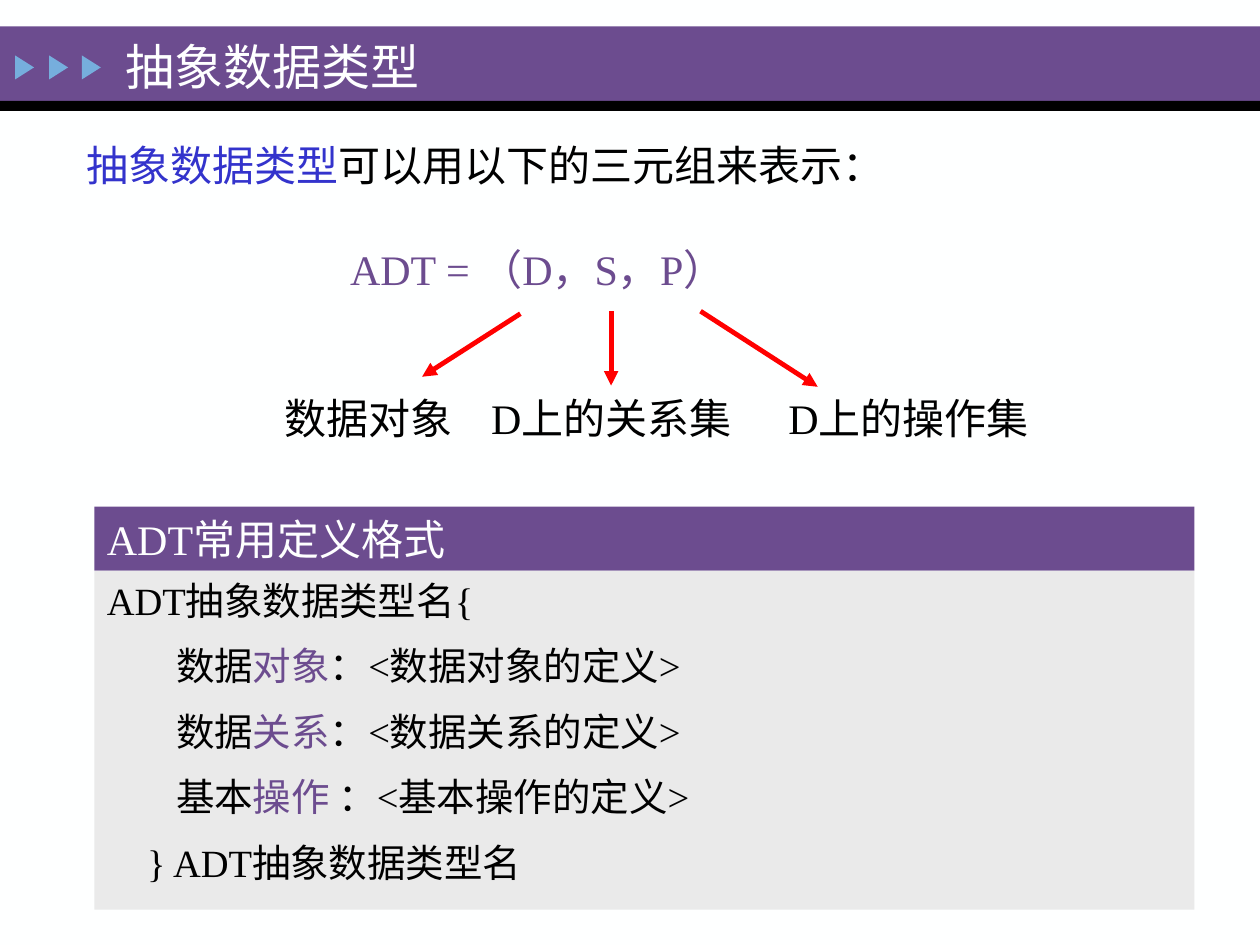
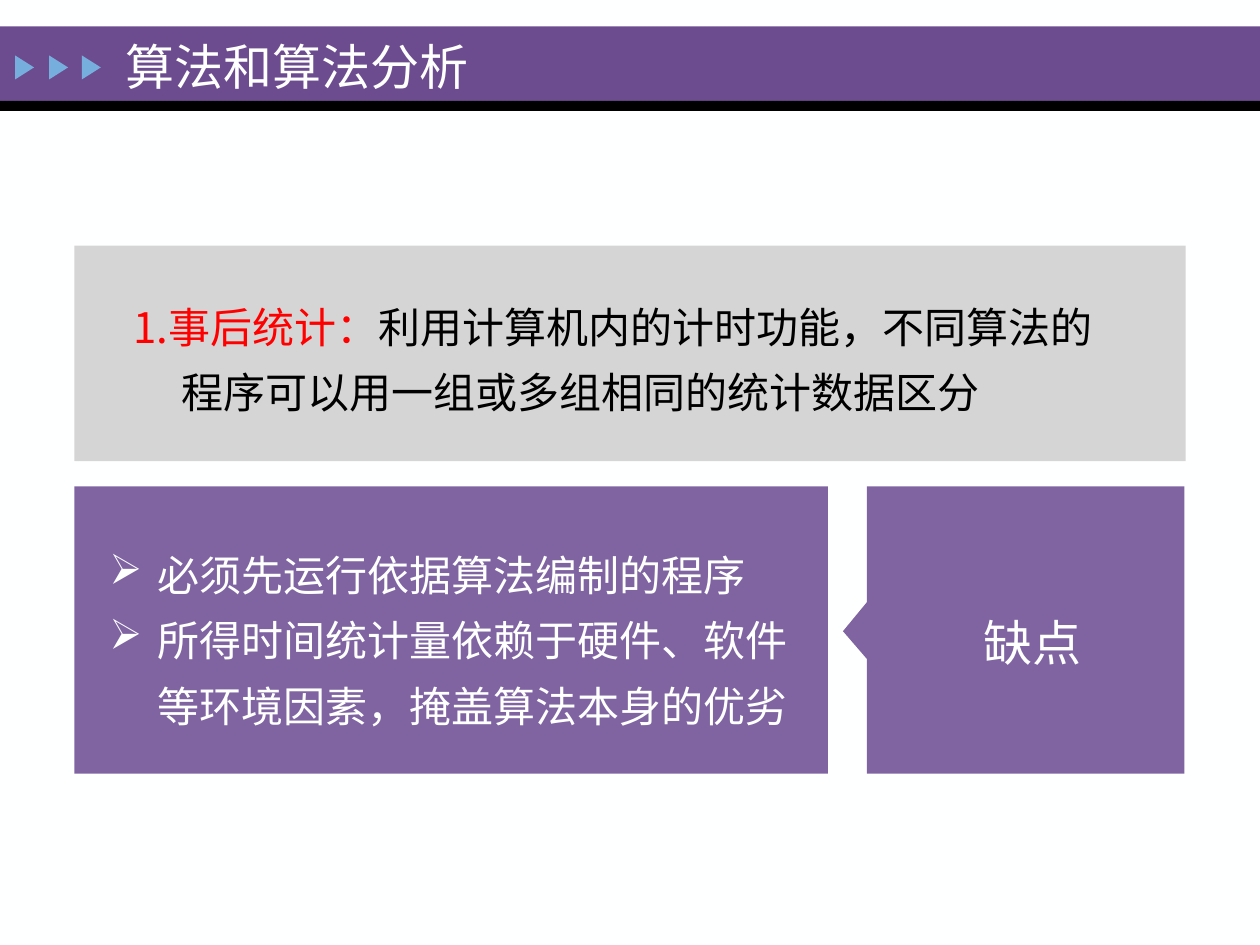
from lxml.etree import SubElement
from pptx import Presentation
from pptx.dml.color import RGBColor
from pptx.enum.shapes import MSO_CONNECTOR, MSO_SHAPE
from pptx.enum.text import MSO_ANCHOR, PP_ALIGN
from pptx.oxml.ns import qn
from pptx.util import Pt

PX = 9144  # EMU per px, 100 px to the inch
SLIDE_W, SLIDE_H = 1000, 750

WHITE = RGBColor(0xFE, 0xFF, 0xFF)
BLACK = RGBColor(0x00, 0x00, 0x00)
PURPLE = RGBColor(0x6C, 0x4C, 0x8F)
LILAC = RGBColor(0x80, 0x64, 0xA2)
SKY = RGBColor(0x76, 0xAE, 0xDD)
BLUE = RGBColor(0x33, 0x33, 0xCC)
RED = RGBColor(0xFF, 0x00, 0x00)
LIGHT_GREY = RGBColor(0xEA, 0xEA, 0xEA)
GREY = RGBColor(0xD5, 0xD5, 0xD5)

SERIF = "Times New Roman"
SANS = "Noto Sans CJK SC"


def emu(*lengths):
    return [v * PX for v in lengths]


def paint(sp, color):
    sp.shadow.inherit = False
    sp.fill.solid()
    sp.fill.fore_color.rgb = color
    sp.line.fill.background()
    return sp


def add_box(s, box, color, kind=MSO_SHAPE.RECTANGLE):
    return paint(s.shapes.add_shape(kind, *emu(*box)), color)


def write(p, runs, size, font):
    """Add (text, colour) runs to a left-aligned paragraph."""
    p.alignment = PP_ALIGN.LEFT
    for text, color in runs:
        r = p.add_run()
        r.text = text
        r.font.size = Pt(size)
        r.font.color.rgb = color
        r.font.name = font
        SubElement(r._r.get_or_add_rPr(), qn("a:ea"), typeface=SANS)


def fill_text(sp, paragraphs, size, font=SERIF, anchor=MSO_ANCHOR.TOP,
              indents=None, hanging=0, bullet=None, spacing=None, before=0):
    """Write paragraphs, each a list of runs, into a shape."""
    tf = sp.text_frame
    tf.word_wrap = True
    tf.vertical_anchor = anchor
    for i, runs in enumerate(paragraphs):
        p = tf.paragraphs[0] if i == 0 else tf.add_paragraph()
        pPr = p._p.get_or_add_pPr()
        left = indents[i] if indents else hanging
        pPr.set("marL", str(left * PX))
        pPr.set("indent", str(-hanging * PX))
        if bullet:
            SubElement(pPr, qn("a:buChar"), char=bullet)
        if spacing:
            p.line_spacing = spacing
        if i and before:
            p.space_before = Pt(before)
        write(p, runs, size, font)


def add_text(s, box, paragraphs, size, **options):
    fill_text(s.shapes.add_textbox(*emu(*box)), paragraphs, size, **options)


def add_arrow(s, x1, y1, x2, y2):
    line = s.shapes.add_connector(MSO_CONNECTOR.STRAIGHT, *emu(x1, y1, x2, y2))
    line.line.color.rgb = RED
    line.line.width = Pt(2.75)
    spPr = line._element.spPr
    SubElement(spPr.find(qn("a:ln")), qn("a:tailEnd"), type="triangle")
    SubElement(spPr, qn("a:effectLst"))


def add_titled_slide(prs, title):
    s = prs.slides.add_slide(prs.slide_layouts[6])
    s.background.fill.solid()
    s.background.fill.fore_color.rgb = WHITE
    # Title band with its underline
    add_box(s, (0, 21, SLIDE_W, 59), PURPLE)
    add_box(s, (0, 80, SLIDE_W, 8), BLACK)
    # Three pointers facing right
    for x in (10, 37, 63):
        add_box(s, (x, 46, 19, 15), SKY, MSO_SHAPE.ISOSCELES_TRIANGLE).rotation = 90
    add_text(s, (90, 21, 859, 62), [[(title, WHITE)]], 28,
             anchor=MSO_ANCHOR.MIDDLE)
    return s


def triple_diagram(s, x, y):
    """Introduction, the ADT triple and the meaning of its members."""
    add_text(s, (x, y, 917, 50), [[("抽象数据类型", BLUE),
                                   ("可以用以下的三元组来表示：", BLACK)]], 24)
    add_text(s, (x + 209, y + 82, 400, 50), [[("ADT = （D，S，P）", PURPLE)]], 24)
    members = [(157, 160, "数据对象"), (321, 230, "D上的关系集"),
               (557, 230, "D上的操作集")]
    for dx, w, name in members:
        add_text(s, (x + dx, y + 201, w, 50), [[(name, BLACK)]], 24)
    for x1, y1, x2, y2 in [(354, 143, 276, 193), (426, 141, 426, 200),
                           (497, 141, 590, 201)]:
        add_arrow(s, x + x1, y + y1, x + x2, y + y2)


def definition_panel(s, x, y, w, h):
    """Heading bar above the general form of an ADT definition."""
    head_h = 51
    head = add_box(s, (x, y, w, head_h), PURPLE)
    fill_text(head, [[("ADT常用定义格式", WHITE)]], 24, anchor=MSO_ANCHOR.MIDDLE)

    fields = [("数据", "对象", "：<数据对象的定义>"),
              ("数据", "关系", "：<数据关系的定义>"),
              ("基本", "操作", " ：<基本操作的定义>")]
    lines = [[("ADT抽象数据类型名{", BLACK)]]
    lines += [[(a, BLACK), (b, PURPLE), (c, BLACK)] for a, b, c in fields]
    lines.append([("} ADT抽象数据类型名", BLACK)])
    body = add_box(s, (x, y + head_h, w, h - head_h), LIGHT_GREY)
    fill_text(body, lines, 22, indents=[0, 55, 55, 55, 32], before=11)


def method_panel(s, x, y, w, h):
    add_box(s, (x, y, w, h), GREY)
    add_text(s, (x + 37, y + 27, w - 73, 115),
             [[("1.事后统计：", RED),
               ("利用计算机内的计时功能，不同算法的程序可以用一组或多组相同的统计数据区分",
                BLACK)]],
             24, font=SANS, hanging=38, spacing=1.3)


def drawback_panel(s, x, y, w, h):
    """List of drawbacks with a label that points at it."""
    add_box(s, (x, y, 598, h), LILAC)
    add_text(s, (x + 18, y + 33, 562, 168),
             [[("必须先运行依据算法编制的程序", WHITE)],
              [("所得时间统计量依赖于硬件、软件等环境因素，掩盖算法本身的优劣", WHITE)]],
             24, font=SANS, hanging=38, bullet="➢", spacing=1.3)

    # Label with a notch on its left side
    left, right, bottom = x + 629, x + w, y + h
    outline = s.shapes.build_freeform(left, y, scale=PX)
    outline.add_line_segments([(right, y), (right, bottom), (left, bottom),
                               (left, y + 137), (left - 19, y + 115),
                               (left, y + 92)])
    paint(outline.convert_to_shape(), LILAC)
    add_text(s, (x + 712, y + 81, 106, 65), [[("缺点", WHITE)]], 28,
             font=SANS, spacing=1.3)


def main():
    prs = Presentation()
    prs.slide_width, prs.slide_height = emu(SLIDE_W, SLIDE_H)

    s = add_titled_slide(prs, "抽象数据类型")
    triple_diagram(s, 59, 106)
    definition_panel(s, 75, 402, 873, 320)

    s = add_titled_slide(prs, "算法和算法分析")
    method_panel(s, 59, 195, 882, 171)
    drawback_panel(s, 59, 386, 881, 228)

    prs.save("out.pptx")


if __name__ == "__main__":
    main()
